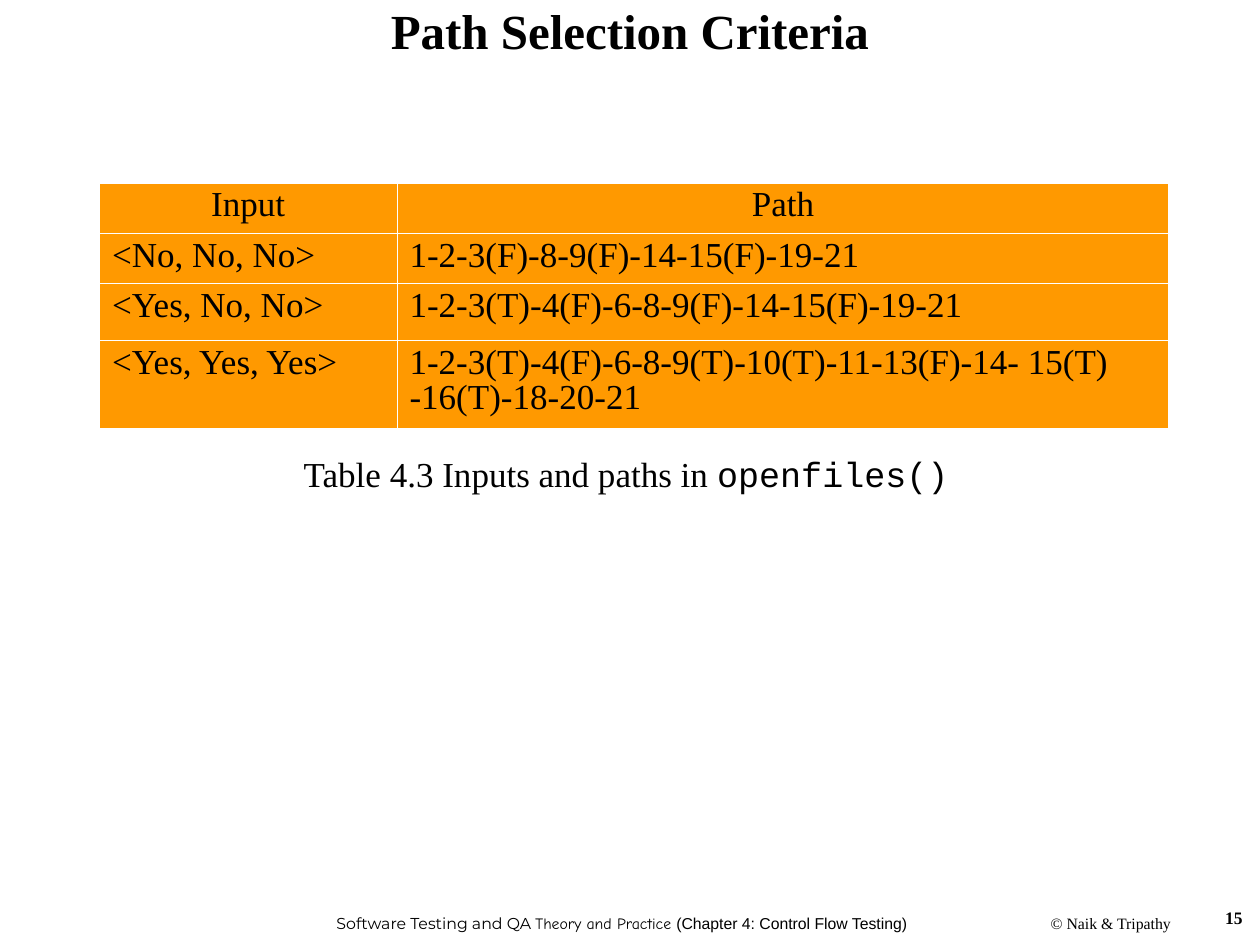
"""Build the path selection criteria slide."""
from lxml.etree import SubElement
from pptx import Presentation
from pptx.dml.color import RGBColor as RGB
from pptx.enum.text import MSO_ANCHOR as Anchor, PP_ALIGN as Align
from pptx.oxml.ns import qn
from pptx.util import Inches, Pt

INK = {"text": "000000", "cell": "FF9900", "rule": "FFFFFF"}
SERIF = "Times New Roman"
ROWS = [
    ("Input", "Path"),
    ("<No, No, No>", "1-2-3(F)-8-9(F)-14-15(F)-19-21"),
    ("<Yes, No, No>", "1-2-3(T)-4(F)-6-8-9(F)-14-15(F)-19-21"),
    ("<Yes, Yes, Yes>",
     "1-2-3(T)-4(F)-6-8-9(T)-10(T)-11-13(F)-14- 15(T) -16(T)-18-20-21"),
]
WIDTHS = [2.36, 6.13]
HEIGHTS = [0.4, 0.4, 0.45, 0.7]
TEXTS = [
    dict(at=(0, 0, 10, 0.53), size=28, bold=True, lead=0.9,
         runs=[("Path Selection Criteria", SERIF)]),
    dict(at=(0.15, 3.58, 9.64, 0.4), size=20, lead=0.9,
         runs=[("Table 4.3 Inputs and paths in ", SERIF),
               ("openfiles()", "Courier New")]),
    dict(at=(2.56, 7.14, 4.75, 0.38), size=9, wrap=False,
         runs=[("Software Testing and QA ", "Montserrat"),
               ("Theory and Practice ", "Comic Neue"),
               ("(Chapter 4: Control Flow Testing)", "Arial")]),
    dict(at=(8.09, 7.2, 1.45, 0.25), size=9, wrap=False,
         runs=[("© Naik & Tripathy", SERIF)]),
    dict(at=(7.63, 7.15, 2.33, 0.52), size=10, bold=True,
         align=Align.RIGHT, anchor=Anchor.TOP, runs=[("15", SERIF)]),
]


def write(para, runs, size, align, bold=False, lead=None):
    para.alignment = align
    if lead:
        para.line_spacing = lead
    for text, face in runs:
        run = para.add_run()
        run.text = text
        font = run.font
        font.name, font.size, font.bold = face, Pt(size), bold
        font.color.rgb = RGB.from_string(INK["text"])


def label(slide, at, runs, size, align=Align.CENTER, anchor=Anchor.MIDDLE,
          wrap=True, bold=False, lead=None):
    frame = slide.shapes.add_textbox(*map(Inches, at)).text_frame
    frame.word_wrap, frame.vertical_anchor = wrap, anchor
    write(frame.paragraphs[0], runs, size, align, bold, lead)


def edge(cell, widths):
    props = cell._tc.get_or_add_tcPr()
    for i, (side, width) in enumerate(widths.items()):
        line = props.makeelement(qn(f"a:ln{side}"), {"w": str(Pt(width))})
        fill = SubElement(line, qn("a:solidFill"))
        SubElement(fill, qn("a:srgbClr"), val=INK["rule"])
        props.insert(i, line)


def grid(slide):
    size = sum(WIDTHS), sum(HEIGHTS)
    shape = slide.shapes.add_table(len(ROWS), len(WIDTHS),
                                   *map(Inches, (0.79, 1.45, *size)))
    table = shape.table
    table.first_row = table.horz_banding = False
    for col, width in zip(table.columns, WIDTHS):
        col.width = Inches(width)
    for r, row in enumerate(ROWS):
        table.rows[r].height = Inches(HEIGHTS[r])
        for c, text in enumerate(row):
            cell = table.cell(r, c)
            cell.fill.solid()
            cell.fill.fore_color.rgb = RGB.from_string(INK["cell"])
            outer = {"L": c == 0, "R": c == len(row) - 1,
                     "T": r == 0, "B": r == len(ROWS) - 1}
            edge(cell, {k: 1.08 if out else 0.45 for k, out in outer.items()})
            para = cell.text_frame.paragraphs[0]
            para.space_before = Pt(7.5)
            align = Align.LEFT if r else Align.CENTER
            write(para, [(text, SERIF)], 20, align, lead=0.9)


deck = Presentation()
deck.slide_width, deck.slide_height = Inches(10), Inches(7.5)
page = deck.slides.add_slide(deck.slide_layouts[6])
for item in TEXTS:
    label(page, **item)
grid(page)
deck.save("out.pptx")
